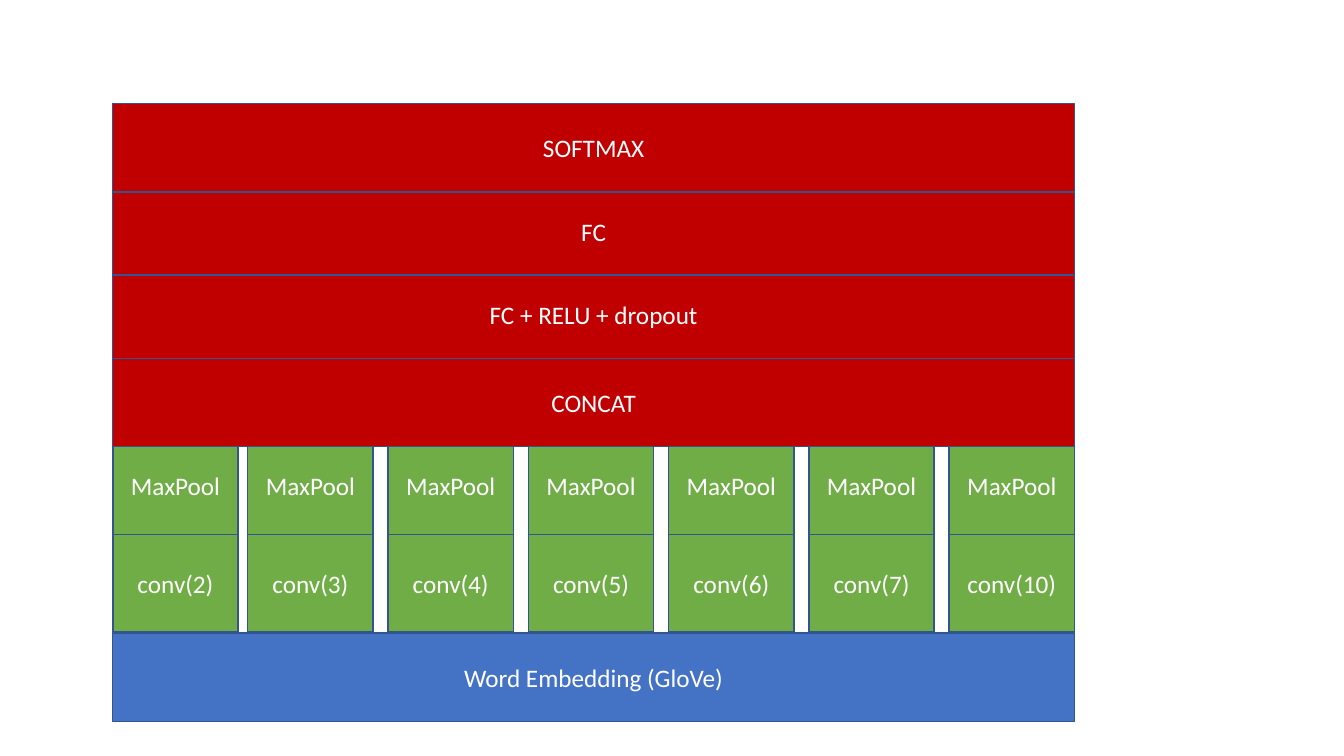
from pptx import Presentation
from pptx import util as u
from pptx.dml import color
from pptx.enum import shapes, text

COLORS = {
    "embedding": "4472C4",
    "branch": "70AD47",
    "head": "C00000",
    "outline": "325491",
    "label": "FFFFFF",
}
LABEL_FORMAT = {"name": "Calibri", "size": u.Pt(18)}
FRAME_FORMAT = {"word_wrap": True, "vertical_anchor": text.MSO_ANCHOR.MIDDLE}

LEFT, STACK_WIDTH, LAYER_HEIGHT = 80.6, 686.9, 63.2
BRANCH_WIDTH, BRANCH_HEIGHT, BRANCH_PITCH = 89.5, 69.9, 100.2
EMBEDDING_TOP, CONV_TOP = 452.2, 381.7
KERNEL_SIZES = [2, 3, 4, 5, 6, 7, 10]
HEAD_LAYERS = [
    ("CONCAT", 255.6),
    ("FC + RELU + dropout", 192.8),
    ("FC", 133.4),
    ("SOFTMAX", 74.0),
]


def set_attributes(target, values):
    """Set every attribute named in values on target."""
    for name, value in values.items():
        setattr(target, name, value)


class Diagram:
    """Holds the style and the current slide."""

    def __init__(self, slide):
        """Draw on the given slide."""
        self.slide = slide

    def color(self, name):
        """Return the named palette colour."""
        return color.RGBColor.from_string(COLORS[name])

    def block(self, label, left, top, width, height, fill):
        """Add an outlined rectangle with a centred label."""
        shape = self.slide.shapes.add_shape(
            shapes.MSO_SHAPE.RECTANGLE,
            *(u.Pt(length) for length in (left, top, width, height)))
        shape.shadow.inherit = False
        shape.fill.solid()
        shape.fill.fore_color.rgb = self.color(fill)
        shape.line.color.rgb = self.color("outline")
        shape.line.width = u.Pt(1)
        set_attributes(shape.text_frame, FRAME_FORMAT)
        paragraph = shape.text_frame.paragraphs[0]
        paragraph.alignment = text.PP_ALIGN.CENTER
        run = paragraph.add_run()
        run.text = label
        set_attributes(run.font, LABEL_FORMAT)
        run.font.color.rgb = self.color("label")

    def layer(self, label, top, fill):
        """Add a block across the whole stack."""
        self.block(label, LEFT, top, STACK_WIDTH, LAYER_HEIGHT, fill)

    def branch(self, kernel_size, left):
        """Add a convolution with its pooling block above."""
        for level, label in enumerate((f"conv({kernel_size})", "MaxPool")):
            self.block(label, left, CONV_TOP - level * BRANCH_HEIGHT,
                       BRANCH_WIDTH, BRANCH_HEIGHT, "branch")


def main():
    """Build the network diagram and save it."""
    presentation = Presentation()
    set_attributes(presentation, {"slide_width": u.Pt(960), "slide_height": u.Pt(540)})
    diagram = Diagram(presentation.slides.add_slide(presentation.slide_layouts[6]))

    diagram.layer("Word Embedding (GloVe)", EMBEDDING_TOP, "embedding")
    # Branches step back from the right edge; the first sits flush left.
    last_left = LEFT + STACK_WIDTH - BRANCH_WIDTH
    for index, kernel_size in enumerate(KERNEL_SIZES):
        steps_back = len(KERNEL_SIZES) - 1 - index
        diagram.branch(kernel_size, max(LEFT, last_left - steps_back * BRANCH_PITCH))
    for label, top in HEAD_LAYERS:
        diagram.layer(label, top, "head")

    presentation.save("out.pptx")


main()
